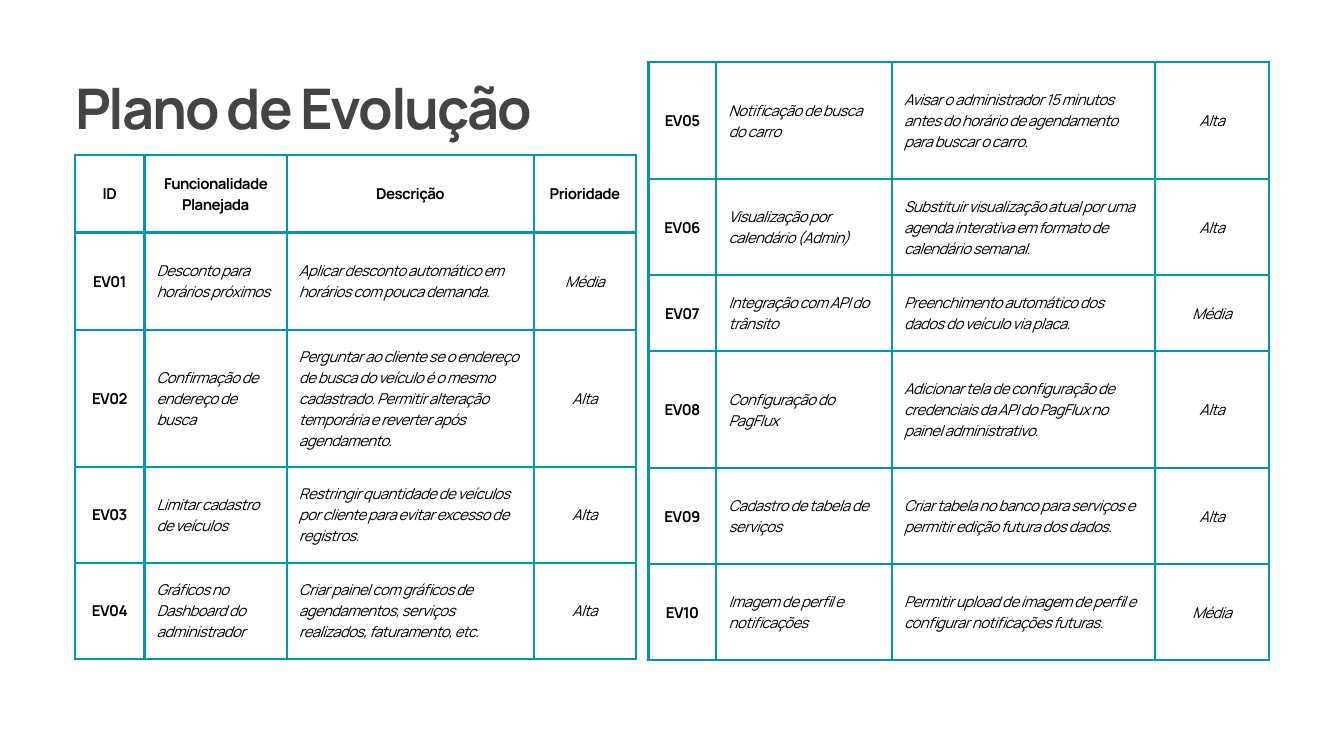
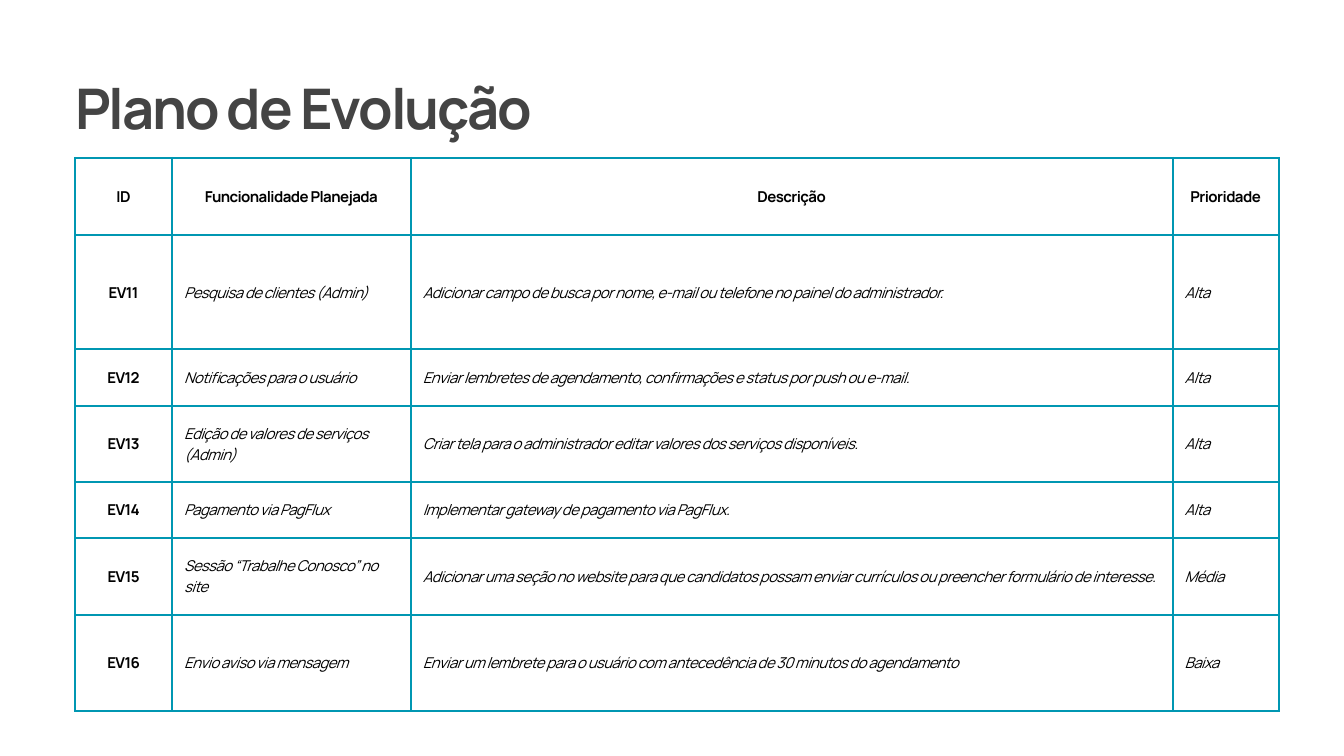
from lxml import etree
from pptx import Presentation
from pptx.dml.color import RGBColor
from pptx.enum import text
from pptx.oxml import ns
from pptx.util import Cm, Pt

FONT = "Manrope"
BORDER = "0097B2"
BORDER_WIDTH = Pt(2.54)
CELL_MARGIN = Cm(0.46)
LEFT = 2.84
TOP = 2.36
CENTER, START = text.PP_ALIGN.CENTER, text.PP_ALIGN.LEFT

TITLE = "Plano de Evolução"
TITLE_STYLE = {"size": 60, "bold": True, "italic": False, "color": "444444",
               "spacing": -220, "line": 84}
LABEL_STYLE = {"size": 16.1, "bold": True, "italic": False, "color": "000000",
               "spacing": -60, "line": 22.5}
BODY_STYLE = {"size": 16, "bold": False, "italic": True, "color": "000000",
              "spacing": -60, "line": 22.4}

HEADER = ("ID", "Funcionalidade Planejada", "Descrição", "Prioridade")

FIRST_FEATURES = [
    HEADER,
    ("EV01", "Desconto para horários próximos",
     "Aplicar desconto automático em horários com pouca demanda.", "Média"),
    ("EV02", "Confirmação de endereço de busca",
     "Perguntar ao cliente se o endereço de busca do veículo é o mesmo cadastrado. "
     "Permitir alteração temporária e reverter após agendamento.", "Alta"),
    ("EV03", "Limitar cadastro de veículos",
     "Restringir quantidade de veículos por cliente para evitar excesso de registros.",
     "Alta"),
    ("EV04", "Gráficos no Dashboard do administrador",
     "Criar painel com gráficos de agendamentos, serviços realizados, faturamento, etc.",
     "Alta"),
]
MIDDLE_FEATURES = [
    ("EV05", "Notificação de busca do carro",
     "Avisar o administrador 15 minutos antes do horário de agendamento "
     "para buscar o carro.", "Alta"),
    ("EV06", "Visualização por calendário (Admin)",
     "Substituir visualização atual por uma agenda interativa em formato de "
     "calendário semanal.", "Alta"),
    ("EV07", "Integração com API do trânsito",
     "Preenchimento automático dos dados do veículo via placa.", "Média"),
    ("EV08", "Configuração do PagFlux",
     "Adicionar tela de configuração de credenciais da API do PagFlux no "
     "painel administrativo.", "Alta"),
    ("EV09", "Cadastro de tabela de serviços",
     "Criar tabela no banco para serviços e permitir edição futura dos dados.", "Alta"),
    ("EV10", "Imagem de perfil e notificações",
     "Permitir upload de imagem de perfil e configurar notificações futuras.", "Média"),
]
LAST_FEATURES = [
    HEADER,
    ("EV11", "Pesquisa de clientes (Admin)",
     "Adicionar campo de busca por nome, e-mail ou telefone no painel do administrador.",
     "Alta"),
    ("EV12", "Notificações para o usuário",
     "Enviar lembretes de agendamento, confirmações e status por push ou e-mail.", "Alta"),
    ("EV13", "Edição de valores de serviços (Admin)",
     "Criar tela para o administrador editar valores dos serviços disponíveis.", "Alta"),
    ("EV14", "Pagamento via PagFlux",
     "Implementar gateway de pagamento via PagFlux.", "Alta"),
    ("EV15", "Sessão “Trabalhe Conosco” no site",
     "Adicionar uma seção no website para que candidatos possam enviar currículos ou "
     "preencher formulário de interesse.", "Média"),
    ("EV16", "Envio aviso via mensagem",
     "Enviar um lembrete para o usuário com antecedência de 30 minutos do agendamento",
     "Baixa"),
]

# Each slide is a list of tables; lengths in centimetres.
SLIDES = [
    [
        {"features": FIRST_FEATURES, "left": LEFT, "top": 5.87,
         "widths": (2.62, 5.38, 9.35, 3.84),
         "heights": (2.92, 3.68, 5.18, 3.63, 3.63), "priority_align": CENTER},
        {"features": MIDDLE_FEATURES, "left": 24.51, "top": TOP,
         "widths": (2.57, 6.63, 9.96, 4.29),
         "heights": (4.42, 3.63, 2.87, 4.42, 3.63, 3.63), "priority_align": CENTER},
    ],
    [
        {"features": LAST_FEATURES, "left": LEFT, "top": 5.97,
         "widths": (3.66, 9.02, 28.8, 4.01),
         "heights": (2.9, 4.34, 2.13, 2.87, 2.13, 2.9, 3.63), "priority_align": START},
    ],
]


def rgb(value):
    return RGBColor.from_string(value)


def write(frame, words, style, align=START):
    paragraph = frame.paragraphs[0]
    paragraph.alignment = align
    paragraph.line_spacing = Pt(style["line"])
    run = paragraph.add_run()
    run.text = words
    font = {"name": FONT, "size": Pt(style["size"]),
            "bold": style["bold"], "italic": style["italic"]}
    for name, value in font.items():
        setattr(run.font, name, value)
    run.font.color.rgb = rgb(style["color"])
    run._r.get_or_add_rPr().set("spc", str(style["spacing"]))


def add_borders(cell):
    properties = cell._tc.get_or_add_tcPr()
    for side in ("lnL", "lnR", "lnT", "lnB"):
        line = etree.SubElement(properties, ns.qn(f"a:{side}"), w=str(BORDER_WIDTH))
        fill = etree.SubElement(line, ns.qn("a:solidFill"))
        etree.SubElement(fill, ns.qn("a:srgbClr"), val=BORDER)


def format_cell(cell):
    cell.vertical_anchor = text.MSO_ANCHOR.MIDDLE
    for side in ("left", "right", "top", "bottom"):
        setattr(cell, f"margin_{side}", CELL_MARGIN)
    add_borders(cell)
    cell.fill.background()


def add_feature_table(slide, features, left, top, widths, heights, priority_align):
    table = slide.shapes.add_table(
        len(heights), len(widths), Cm(left), Cm(top),
        Cm(sum(widths)), Cm(sum(heights))).table
    table.first_row = table.horz_banding = False
    for column, width in zip(table.columns, widths):
        column.width = Cm(width)
    for row, height in zip(table.rows, heights):
        row.height = Cm(height)
    body_aligns = (CENTER, START, START, priority_align)
    for row, feature in zip(table.rows, features):
        for index, (cell, words) in enumerate(zip(row.cells, feature)):
            is_label = feature is HEADER or index == 0
            format_cell(cell)
            write(cell.text_frame, words, LABEL_STYLE if is_label else BODY_STYLE,
                  CENTER if is_label else body_aligns[index])


def add_title(slide):
    frame = slide.shapes.add_textbox(Cm(LEFT), Cm(TOP), Cm(23.37), Cm(3.05)).text_frame
    frame.word_wrap = True
    frame.auto_size = text.MSO_AUTO_SIZE.SHAPE_TO_FIT_TEXT
    for side in ("left", "right", "top", "bottom"):
        setattr(frame, f"margin_{side}", 0)
    write(frame, TITLE, TITLE_STYLE)


def main():
    presentation = Presentation()
    presentation.slide_width, presentation.slide_height = Cm(50.8), Cm(28.58)
    for tables in SLIDES:
        slide = presentation.slides.add_slide(presentation.slide_layouts[6])
        for table in tables:
            add_feature_table(slide, **table)
        add_title(slide)
    presentation.save("out.pptx")


if __name__ == "__main__":
    main()
